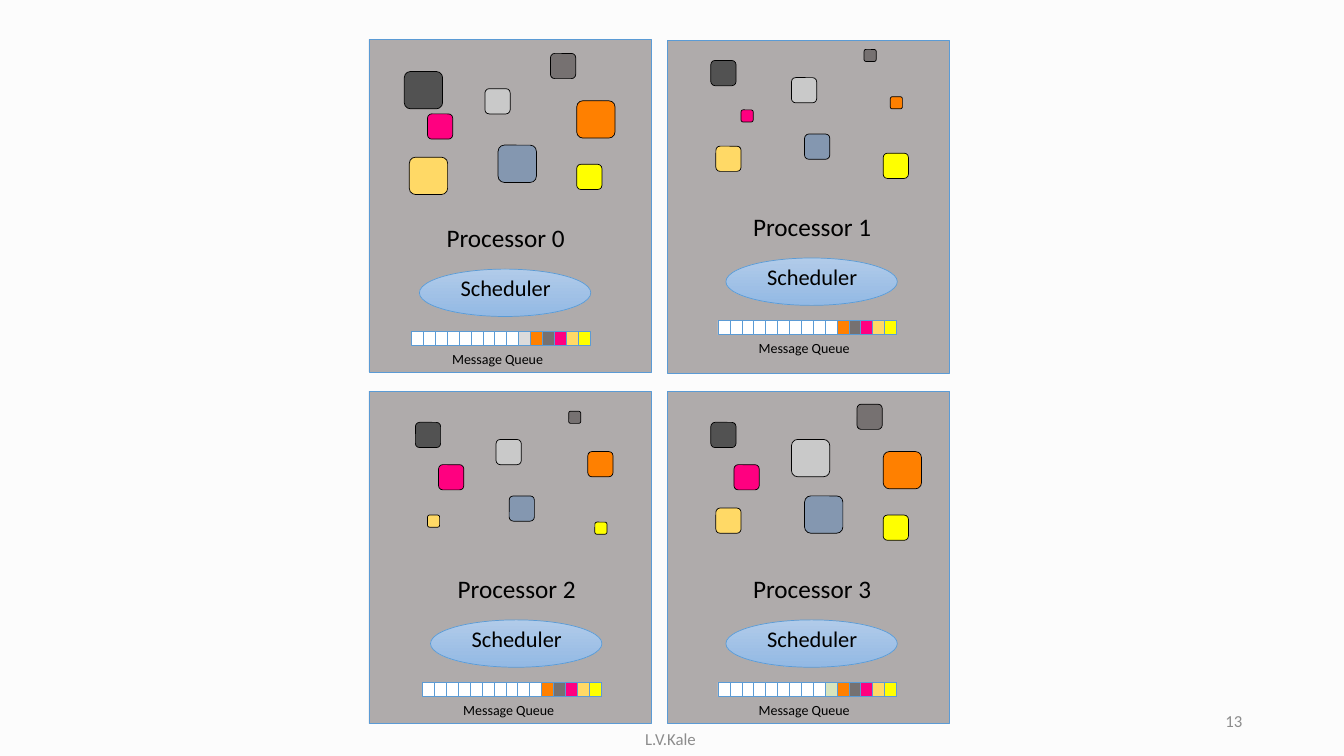
from dataclasses import dataclass

from pptx import Presentation
from pptx import util as u
from pptx.dml.color import RGBColor
from pptx.enum import shapes, text

COLORS = {
    "page": "FCFCFC", "panel": "AFABAB", "border": "5B9BD5", "black": "000000",
    "footer": "8C8C8C", "white": "FFFFFF", "dark": "525252", "silver": "C9C9C9",
    "pink": "FF0080", "blue": "8497B0", "orange": "FF8000", "yellow": "FFFF00",
    "gold": "FFD966", "grey": "767171", "pale": "DBDBDB", "green": "D7E4BD",
    "oval_top": "B1CBE9", "oval_bottom": "93B9E4",
}
FONT = "Calibri"
CELL_COUNT = 15
CELL_STEP = 0.118
CELL_HEIGHT = 0.14
QUEUE_TAIL = ("orange", "grey", "pink", "gold", "yellow")


@dataclass(frozen=True)
class BlockSize:
    width: float
    height: float
    shift: float = 0


SIZES = {
    "S": BlockSize(0.12, 0.12, 0.07),
    "M": BlockSize(0.25, 0.25),
    "L": BlockSize(0.38, 0.37),
}


@dataclass(frozen=True)
class Block:
    """A work object, placed relative to the processor label."""
    color: str
    dx: float
    dy: float


BLOCKS = (
    Block("dark", -0.05, -1.45),
    Block("silver", 0.75, -1.28),
    Block("pink", 0.18, -1.03),
    Block("blue", 0.88, -0.72),
    Block("orange", 1.66, -1.16),
    Block("yellow", 1.66, -0.53),
    Block("gold", 0, -0.6),
    Block("grey", 1.4, -1.63),
)


@dataclass(frozen=True)
class Processor:
    name: str
    panel_left: float
    panel_top: float
    label_left: float
    label_top: float
    block_sizes: str
    queue_extra: str = "white"


PROCESSORS = (
    Processor("Processor 0", 3.66, 0.39, 4.06, 2.16, "LMMLLMLM", "pale"),
    Processor("Processor 1", 6.62, 0.4, 7.1, 2.05, "MMSMSMMS"),
    Processor("Processor 2", 3.66, 3.88, 4.17, 5.64, "MMMMMSSS"),
    Processor("Processor 3", 6.62, 3.88, 7.1, 5.64, "MLMLLMMM", "green"),
)


def rgb(name: str) -> RGBColor:
    return RGBColor.from_string(COLORS[name])


def add_box(parent, kind, left: float, top: float, width: float, height: float,
            fill: str, line: str = "border"):
    box = parent.shapes.add_shape(kind, u.Inches(left), u.Inches(top),
                                  u.Inches(width), u.Inches(height))
    box.shadow.inherit = False
    box.fill.solid()
    box.fill.fore_color.rgb = rgb(fill)
    box.line.color.rgb = rgb(line)
    box.line.width = u.Pt(0.5)
    return box


def add_text(page, words: str, left: float, top: float, width: float,
             height: float, size: int, color: str = "black",
             align=text.PP_ALIGN.CENTER, anchor=text.MSO_ANCHOR.TOP) -> None:
    box = page.shapes.add_textbox(u.Inches(left), u.Inches(top),
                                  u.Inches(width), u.Inches(height))
    frame = box.text_frame
    frame.word_wrap = True
    frame.vertical_anchor = anchor
    frame.text = words
    para = frame.paragraphs[0]
    para.alignment = align
    span = para.runs[0]
    span.font.name = FONT
    span.font.size = u.Pt(size)
    span.font.color.rgb = rgb(color)


def add_scheduler(page, left: float, top: float) -> None:
    oval = add_box(page, shapes.MSO_SHAPE.OVAL, left + 0.1, top, 1.7, 0.47, "oval_top")
    oval.fill.gradient()
    oval.fill.gradient_angle = 270
    for stop, color in zip(oval.fill.gradient_stops, ("oval_top", "oval_bottom")):
        stop.color.rgb = rgb(color)
    add_text(page, "Scheduler", left, top, 1.91, 0.37, 16)


def add_queue(page, left: float, top: float, extra: str) -> None:
    queue = page.shapes.add_group_shape()
    rectangle = shapes.MSO_SHAPE.RECTANGLE
    add_box(queue, rectangle, left + 0.05, top, 1.74, CELL_HEIGHT, "white")
    filled = (extra, *QUEUE_TAIL)
    colors = ("white",) * (CELL_COUNT - len(filled)) + filled
    for index, color in reversed(list(enumerate(colors))):
        add_box(queue, rectangle, left + 0.02 + index * CELL_STEP, top,
                0.12, CELL_HEIGHT, color)
    add_text(page, "Message Queue", left - 0.03, top + 0.14, 1.81, 0.27, 10)


def add_processor(page, processor: Processor) -> None:
    left, top = processor.label_left, processor.label_top
    add_box(page, shapes.MSO_SHAPE.RECTANGLE, processor.panel_left,
            processor.panel_top, 2.8, 3.3, "panel")
    for block, letter in zip(BLOCKS, processor.block_sizes):
        size = SIZES[letter]
        add_box(page, shapes.MSO_SHAPE.ROUNDED_RECTANGLE,
                left + block.dx + size.shift, top + block.dy + size.shift,
                size.width, size.height, block.color, "black")
    add_text(page, processor.name, left, top, 1.91, 0.4, 18)
    add_scheduler(page, left, top + 0.51)
    add_queue(page, left, top + 1.13, processor.queue_extra)


def main() -> None:
    deck = Presentation()
    deck.slide_width = u.Inches(13.33)
    deck.slide_height = u.Inches(7.5)
    page = deck.slides.add_slide(deck.slide_layouts.get_by_name("Blank"))
    page.background.fill.solid()
    page.background.fill.fore_color.rgb = rgb("page")

    # Processors with their objects, schedulers and queues
    for processor in PROCESSORS:
        add_processor(page, processor)

    # Footer and page number
    middle = text.MSO_ANCHOR.MIDDLE
    add_text(page, "L.V.Kale", 4.4, 7.13, 4.5, 0.4, 12, "footer", anchor=middle)
    add_text(page, "13", 9.42, 6.95, 3, 0.4, 12, "footer",
             text.PP_ALIGN.RIGHT, middle)

    deck.save("out.pptx")


if __name__ == "__main__":
    main()
